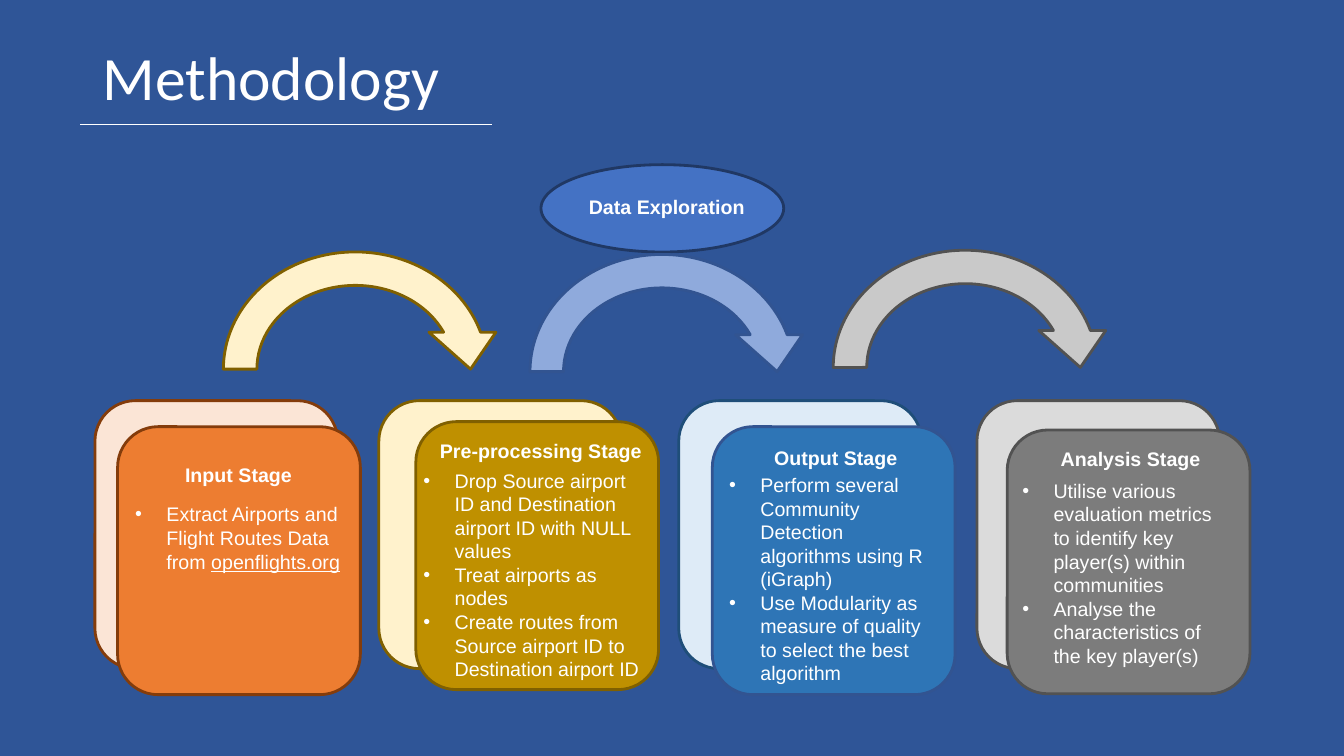
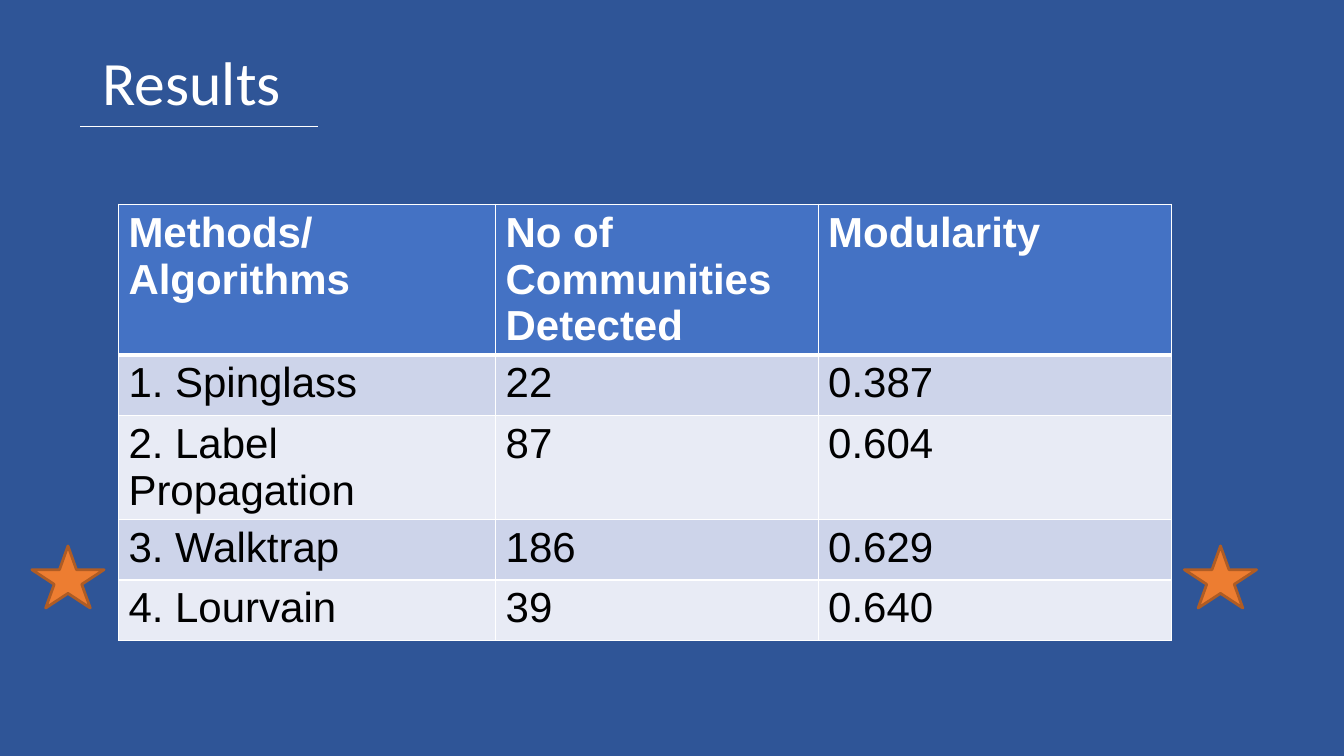
"""Build the methodology and results slides of an airport network study."""
from dataclasses import dataclass
from itertools import product

from lxml.etree import SubElement as Sub
from pptx import Presentation as Deck
from pptx.dml.color import RGBColor as Rgb
from pptx.enum.shapes import MSO_CONNECTOR as Link, MSO_SHAPE as Kind
from pptx.enum.text import MSO_ANCHOR as Anchor, MSO_AUTO_SIZE as Fit, PP_ALIGN as Align
from pptx.oxml.ns import qn
from pptx.util import Emu, Inches, Pt


@dataclass(frozen=True)
class Theme:
    back: str = "2F5597"
    edge: str = "325491"
    white: str = "FFFFFF"
    black: str = "000000"
    blue: str = "4472C4"
    navy: str = "203864"
    sky: str = "8FAADC"
    cream: str = "FFF2CC"
    olive: str = "806000"
    coal: str = "525252"
    flame: str = "ED7D31"
    rust: str = "843C0B"
    star: str = "AF5C24"
    bands: tuple = ("CDD4EA", "E8EBF5")
    head: str = "Calibri"
    body: str = "Arial"
    big: int = 44
    mid: int = 30
    small: int = 14
    line: float = 2


look = Theme()
deck = Deck()
deck.slide_width, deck.slide_height = Inches(13.333), Inches(7.5)
cell = deck.slide_height / 90


def grid(*cells):
    return [Emu(round(n * cell)) for n in cells]


def text(frame, *lines, size=look.small, font=look.body, color=look.white, bold=False,
         align=Align.LEFT, anchor=Anchor.TOP, space=1.0, bullet=False):
    frame.word_wrap, frame.auto_size, frame.vertical_anchor = True, Fit.NONE, anchor
    for i, line in enumerate(lines):
        para = frame.add_paragraph() if i else frame.paragraphs[0]
        if bullet:
            props = para._p.get_or_add_pPr()
            dent = Inches(0.31)
            props.set("marL", str(dent))
            props.set("indent", str(-dent))
            Sub(Sub(props, qn("a:buClr")), qn("a:srgbClr"), val=color)
            Sub(props, qn("a:buFont"), typeface=look.body)
            Sub(props, qn("a:buChar"), char="•")
        para.alignment, para.line_spacing = align, space
        para.space_before = para.space_after = Pt(0)
        plain, _, link = line.partition("|")
        for part in filter(None, (plain, link)):
            run = para.add_run()
            run.text = part
            style = run.font
            style.size, style.name, style.bold = Pt(size), font, bold
            style.color.rgb = Rgb.from_string(color)
            if part == link:
                style.underline = True


master = deck.slide_master.background.fill
master.solid()
master.fore_color.rgb = Rgb.from_string(look.back)

slides = []
for layout, name, top, rule, end in (
    (4, "Methodology", 0.9, 14.8, 58.6),
    (5, "Results", 1.5, 15.1, 37.8),
):
    slide = deck.slides.add_slide(deck.slide_layouts[layout])
    title = slide.shapes.title
    title.left, title.top, title.width, title.height = grid(11, top, 138, 17.4)
    text(title.text_frame, name, size=look.big, font=look.head, anchor=Anchor.MIDDLE, space=0.9)
    bar = slide.shapes.add_connector(Link.STRAIGHT, *grid(9.55, rule, end, rule))
    bar.line.color.rgb, bar.line.width = Rgb.from_string(look.white), Pt(0.75)
    Sub(bar._element.spPr, qn("a:effectLst"))
    slides.append(slide)
flow, score = slides

wide, tall = 28.9, 31.9
cards = (
    ("Input Stage", ("Extract Airports and Flight Routes Data from |openflights.org",),
     11.3, (14, 50.8, wide, tall), (14.7, 54.5), (14.9, 59.2, 27.4),
     "FBE5D6", look.flame, look.rust, look.rust),
    ("Pre-processing Stage",
     ("Drop Source airport ID and Destination airport ID with NULL values",
      "Treat airports as nodes",
      "Create routes from Source airport ID to Destination airport ID"),
     45.1, (49.5, 50.2, wide, tall), (50.7, 51.7), (49.2, 55.2, 28.3),
     look.cream, "BF9000", look.olive, look.olive),
    ("Output Stage",
     ("Perform several Community Detection algorithms using R (iGraph)",
      "Use Modularity as measure of quality to select the best algorithm"),
     80.8, (84.8, 50.8, wide, tall), (85.8, 52.5), (85.6, 55.7, 26.8),
     "DEEBF7", "2E75B6", "1F4E79", look.edge),
    ("Analysis Stage",
     ("Utilise various evaluation metrics to identify key player(s) within communities",
      "Analyse the characteristics of the key player(s)"),
     116.3, (119.9, 51.2, wide, 31.4), (120.9, 52.6), (120.5, 56.4, 27.5),
     "DBDBDB", "7C7C7C", look.coal, look.coal),
)

forms = [
    (flow, Kind.OVAL, (64.4, 19.6, wide, 10.4), look.blue, look.navy),
    (flow, Kind.CIRCULAR_ARROW, (24.6, 28, 35.4, tall), look.cream, look.olive),
    (flow, Kind.CIRCULAR_ARROW, (61.1, 28.3, 35.4, tall), look.sky, look.edge),
    (flow, Kind.CIRCULAR_ARROW, (97.2, 27.8, 35.4, tall), "C9C9C9", look.coal),
]
for _, _, left, front, _, _, pale, deep, rim, edge in cards:
    forms += [
        (flow, Kind.ROUNDED_RECTANGLE, (left, 47.7, wide, tall), pale, rim),
        (flow, Kind.ROUNDED_RECTANGLE, front, deep, edge),
    ]
forms += [(score, Kind.STAR_5_POINT, (x, 65, 8.6, 7.4), look.flame, look.star) for x in (3.8, 141)]

for slide, kind, place, fill, edge in forms:
    shape = slide.shapes.add_shape(kind, *grid(*place))
    shape.shadow.inherit = False
    shape.fill.solid()
    shape.fill.fore_color.rgb = Rgb.from_string(fill)
    shape.line.color.rgb, shape.line.width = Rgb.from_string(edge), Pt(look.line)

heads = [("Data Exploration", (68.6, 22.6, 21.6, 4.1))]
heads += [(card[0], (*card[4], 27.4, 4)) for card in cards]
for name, place in heads:
    label = flow.shapes.add_textbox(*grid(*place))
    text(label.text_frame, name, bold=True, align=Align.CENTER)

lists = [hold for hold in flow.placeholders if hold.placeholder_format.idx]
for hold, card in zip(lists, cards):
    flow.shapes._spTree.append(hold._element)
    hold.left, hold.top, hold.width, hold.height = grid(*card[5], 27)
    text(hold.text_frame, *card[1], bullet=True)

rows = (
    ("Methods/ Algorithms", "No of Communities Detected", "Modularity"),
    ("1. Spinglass", "22", "0.387"),
    ("2. Label Propagation", "87", "0.604"),
    ("3. Walktrap", "186", "0.629"),
    ("4. Lourvain", "39", "0.640"),
)
cols, highs = (44.9, 38.4, 42.1), (17.9, 7.2, 12.4, 7.2, 7.2)
table = score.shapes.add_table(
    len(rows), len(cols), *grid(14.1, 24.3, sum(cols), sum(highs))).table
for col, width in zip(table.columns, grid(*cols)):
    col.width = width
for row, height in zip(table.rows, grid(*highs)):
    row.height = height
for r, c in product(range(len(rows)), range(len(cols))):
    box = table.cell(r, c)
    text(box.text_frame, rows[r][c], size=look.mid, bold=r == 0,
         color=look.black if r else look.white)
    props = box._tc.get_or_add_tcPr()
    for side in "LRTB":
        thick = (r, side) in ((0, "B"), (1, "T"))
        line = Sub(props, qn(f"a:ln{side}"), w=str(Pt(3 if thick else 1)))
        Sub(Sub(line, qn("a:solidFill")), qn("a:srgbClr"), val=look.white)
    box.fill.solid()
    box.fill.fore_color.rgb = Rgb.from_string(look.bands[(r - 1) % 2] if r else look.blue)

deck.save("out.pptx")
